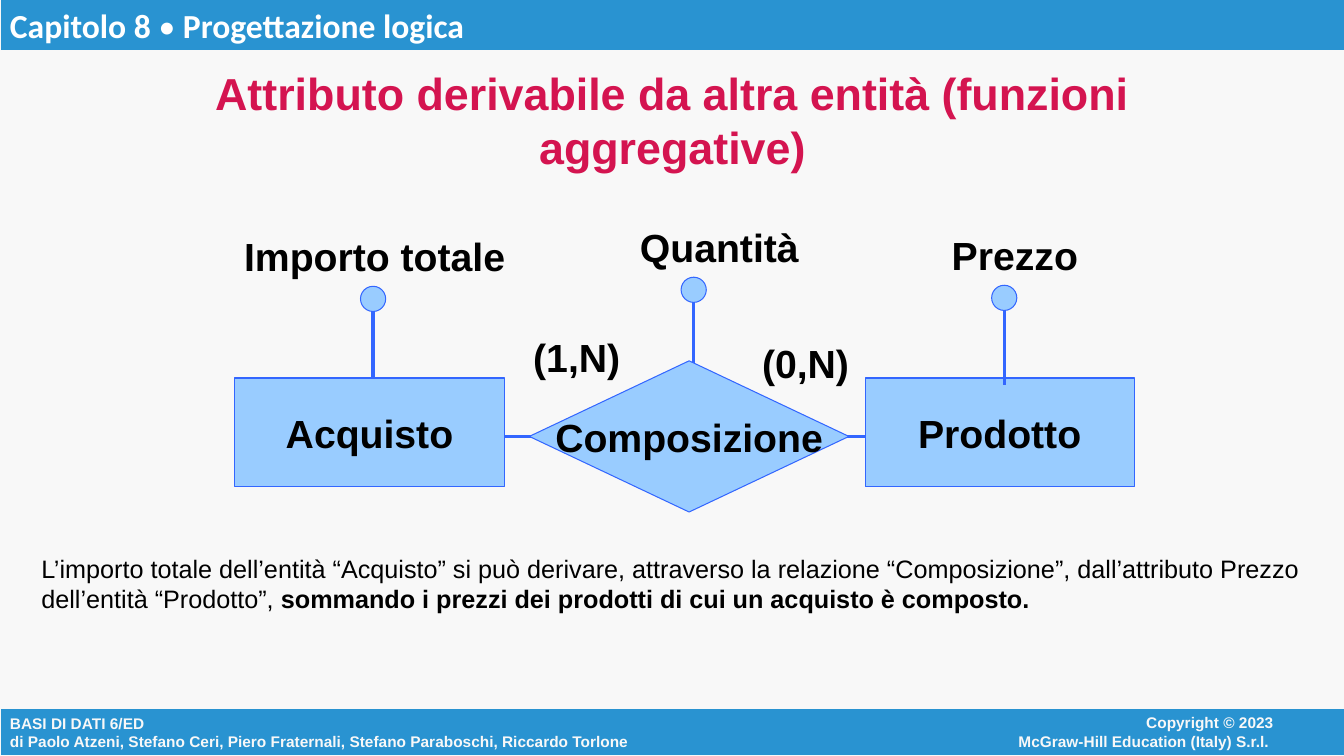
import pptx
import pptx.util
import pptx.dml.color
import pptx.enum.shapes
import pptx.enum.text
import pptx.oxml.ns
import lxml.etree

Inches, Pt = pptx.util.Inches, pptx.util.Pt
SHAPE = pptx.enum.shapes.MSO_SHAPE
ALIGN = pptx.enum.text.PP_ALIGN
ANCHOR = pptx.enum.text.MSO_ANCHOR

# Content
COLORS = {"background": "F8F8F8", "bar": "2993D1", "white": "FFFFFF",
          "title": "D41450", "fill": "99CCFF", "line": "3366FF", "black": "000000"}
CHAPTER = [("Capitolo 8 ", True), ("•", False), (" Progettazione logica", True)]
TITLE = "Attributo derivabile da altra entità (funzioni aggregative)"
BOOK = ("BASI DI DATI 6/ED\n"
        "di Paolo Atzeni, Stefano Ceri, Piero Fraternali, Stefano Paraboschi, Riccardo Torlone")
COPYRIGHT = ["Copyright © 2023", "McGraw-Hill Education (Italy) S.r.l. "]
EXPLANATION = [
    ("L’importo totale dell’entità “Acquisto” si può derivare, attraverso la relazione "
     "“Composizione”, dall’attributo Prezzo dell’entità “Prodotto”, ", False),
    ("sommando i prezzi dei prodotti di cui un acquisto è composto.", True)]
ENTITIES = [("Acquisto", 2.33), ("Prodotto", 8.58)]  # name, left
# name, stem x, circle top, label left, label width
TOTAL = ("Importo totale", 3.7, 2.84, 2.32, 2.79)
OTHER_ATTRIBUTES = [("Prezzo", 9.96, 2.83, 9.34, 1.45),
                    ("Quantità", 6.88, 2.75, 6.25, 1.77)]
CARDINALITIES = [("(1,N)", 5.19, 3.26), ("(0,N)", 7.46, 3.32)]
CIRCLE, STEM, LABEL_HEIGHT = 0.25, 0.75, 0.56

presentation = pptx.Presentation()
presentation.slide_width, presentation.slide_height = Inches(13.33), Inches(7.5)
slide = presentation.slides.add_slide(presentation.slide_layouts[5])


def color(name):
    return pptx.dml.color.RGBColor.from_string(COLORS[name])


def write(shape, paragraphs, size, ink="black", bold=True, align=ALIGN.LEFT,
          anchor=ANCHOR.TOP, wrap=True, font="Arial", inset=(0.1, 0.05)):
    """Fill a shape; a paragraph is a string or a list of (text, bold) runs."""
    frame = shape.text_frame
    frame.auto_size = pptx.enum.text.MSO_AUTO_SIZE.NONE
    frame.word_wrap, frame.vertical_anchor = wrap, anchor
    frame.margin_left = frame.margin_right = Inches(inset[0])
    frame.margin_top = frame.margin_bottom = Inches(inset[1])
    for index, content in enumerate(paragraphs):
        paragraph = frame.add_paragraph() if index else frame.paragraphs[0]
        paragraph.alignment = align
        paragraph.font.name, paragraph.font.size = font, Pt(size)
        paragraph.font.color.rgb = color(ink)
        if isinstance(content, str):
            paragraph.text = content
            paragraph.font.bold = bold
        else:
            for text, run_bold in content:
                run = paragraph.add_run()
                run.text, run.font.bold = text, run_bold


def add_text(left, top, width, height, paragraphs, size, **style):
    box = slide.shapes.add_textbox(*map(Inches, (left, top, width, height)))
    write(box, paragraphs, size, **style)


def add_shape(kind, left, top, width, height, fill="fill", line="line"):
    shape = slide.shapes.add_shape(kind, *map(Inches, (left, top, width, height)))
    shape.shadow.inherit = False
    shape.fill.solid()
    shape.fill.fore_color.rgb = color(fill)
    shape.line.color.rgb = color(line)
    shape.line.width = Pt(0.75)
    return shape


def add_line(x1, y1, x2, y2):
    line = slide.shapes.add_connector(pptx.enum.shapes.MSO_CONNECTOR.STRAIGHT,
                                      *map(Inches, (x1, y1, x2, y2)))
    line.line.color.rgb = color("line")
    line.line.width = Pt(2.25)
    lxml.etree.SubElement(line._element.spPr, pptx.oxml.ns.qn("a:effectLst"))


def add_label(text, left, top, width):
    add_text(left, top, width, LABEL_HEIGHT, [text], 28,
             align=ALIGN.CENTER, anchor=ANCHOR.MIDDLE, wrap=False)


def add_node(kind, name, left, top, width, height):
    write(add_shape(kind, left, top, width, height), [name], 28,
          align=ALIGN.CENTER, anchor=ANCHOR.MIDDLE, wrap=False)


def add_attribute(name, x, top, label_left, label_width):
    stem_top = top + CIRCLE - 0.01
    add_line(x, stem_top, x, stem_top + STEM)
    add_shape(SHAPE.OVAL, x - CIRCLE / 2, top, CIRCLE, CIRCLE)
    add_label(name, label_left, top - 0.58, label_width)


# Background, header and footer
slide.background.fill.solid()
slide.background.fill.fore_color.rgb = color("background")
footer = add_shape(SHAPE.RECTANGLE, 0, 7.03, 13.35, 0.47, "bar", "background")
write(footer, [BOOK], 11, ink="background", anchor=ANCHOR.MIDDLE)
add_text(8.89, 7.03, 3.84, 0.46, COPYRIGHT, 11, ink="background", align=ALIGN.RIGHT)
header = add_shape(SHAPE.RECTANGLE, 0, 0, 13.35, 0.5, "bar", "background")
write(header, [CHAPTER], 24, ink="white", font="Calibri")

# Title
title = slide.shapes.title
title.left, title.top, title.width, title.height = map(Inches, (1.55, 0.99, 10.24, 0.39))
write(title, [TITLE], 32, ink="title", align=ALIGN.CENTER, anchor=ANCHOR.MIDDLE, inset=(0, 0))

# Entity-relationship diagram, from back to front
add_attribute(*TOTAL)
add_line(4.67, 4.33, 8.75, 4.33)
for name, left in ENTITIES:
    add_node(SHAPE.RECTANGLE, name, left, 3.75, 2.67, 1.08)
for attribute in OTHER_ATTRIBUTES:
    add_attribute(*attribute)
for text, left, top in CARDINALITIES:
    add_label(text, left, top, 1.06)
add_node(SHAPE.DIAMOND, "Composizione", 5.25, 3.58, 3.17, 1.5)

# Explanation
add_text(0.41, 5.49, 12.48, 1.3, [EXPLANATION], 18, inset=(0, 0))

presentation.save("out.pptx")
